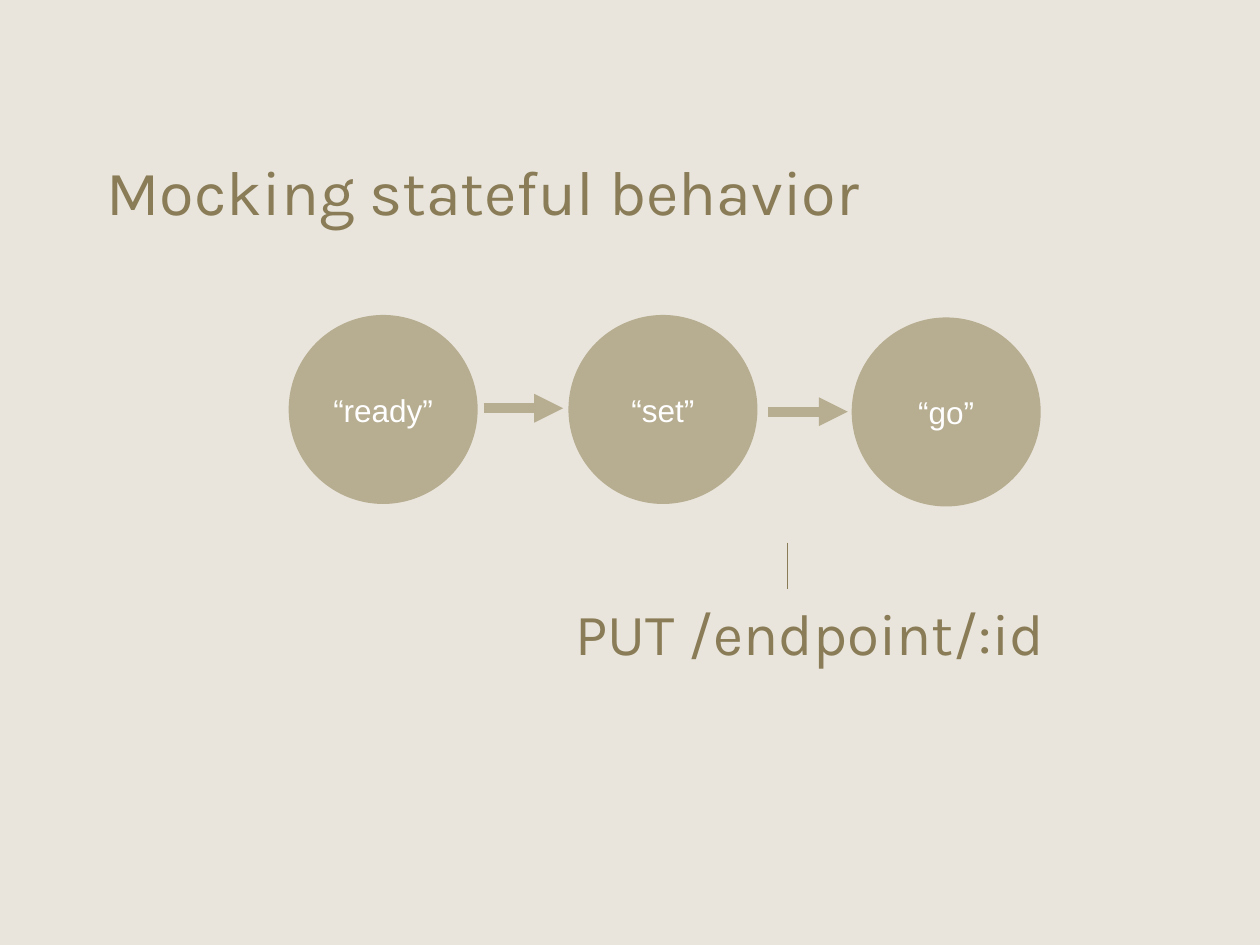
from lxml import etree
from pptx import Presentation
from pptx.dml.color import RGBColor
from pptx.enum.shapes import MSO_CONNECTOR, MSO_SHAPE
from pptx.enum.text import MSO_ANCHOR, PP_ALIGN
from pptx.oxml.ns import qn
from pptx.util import Cm, Pt

STRAIGHT = MSO_CONNECTOR.STRAIGHT
OVAL = MSO_SHAPE.OVAL
TOP, MIDDLE = MSO_ANCHOR.TOP, MSO_ANCHOR.MIDDLE
LEFT, CENTER = PP_ALIGN.LEFT, PP_ALIGN.CENTER

BACKGROUND = RGBColor(0xE9, 0xE5, 0xDC)
OLIVE = RGBColor(0x89, 0x7C, 0x57)
SAND = RGBColor(0xB7, 0xAD, 0x91)
WHITE = RGBColor(0xFF, 0xFF, 0xFF)

STATE_SIZE = 3.81
ARROW_LENGTH = 1.6

# Label, left and top of each state, in centimetres
STATES = [("“ready”", 5.82, 6.35), ("“set”", 11.46, 6.35), ("“go”", 17.17, 6.4)]
# Left end and height of each transition, in centimetres
TRANSITIONS = [(9.75, 8.23), (15.49, 8.3)]


def set_text(shape, text, font_name, size, color, align):
    shape.text_frame.text = text
    para = shape.text_frame.paragraphs[0]
    para.alignment = align
    font = para.runs[0].font
    font.name = font_name
    font.size = Pt(size)
    font.color.rgb = color
    return para


def add_heading(page, text, left, top, width, size, line_spacing):
    box = page.shapes.add_textbox(Cm(left), Cm(top), Cm(width), Cm(2.54))
    box.text_frame.word_wrap = True
    box.text_frame.vertical_anchor = TOP
    para = set_text(box, text, "Karla", size, OLIVE, LEFT)
    para.line_spacing = line_spacing


def add_state(page, label, left, top):
    circle = page.shapes.add_shape(
        OVAL, Cm(left), Cm(top), Cm(STATE_SIZE), Cm(STATE_SIZE))
    circle.shadow.inherit = False
    circle.fill.solid()
    circle.fill.fore_color.rgb = SAND
    circle.line.fill.background()
    frame = circle.text_frame
    frame.word_wrap = False
    frame.vertical_anchor = MIDDLE
    set_text(circle, label, "Arial", 18, WHITE, CENTER)


def add_line(page, start, end, color, width, arrow=False):
    line = page.shapes.add_connector(
        STRAIGHT, *(Cm(value) for value in start + end))
    line.line.color.rgb = color
    line.line.width = Pt(width)
    if arrow:
        outline = line.line._get_or_add_ln()
        etree.SubElement(outline, qn("a:tailEnd"), type="triangle")
    etree.SubElement(line._element.spPr, qn("a:effectLst"))


def main():
    deck = Presentation()
    deck.slide_width, deck.slide_height = Cm(25.4), Cm(19.05)
    page = deck.slides.add_slide(deck.slide_layouts[6])
    page.background.fill.solid()
    page.background.fill.fore_color.rgb = BACKGROUND

    # Title
    add_heading(page, "Mocking stateful behavior", 1.9, 3.18, 21.59, 36, 0.85)

    # State machine
    for label, left, top in STATES:
        add_state(page, label, left, top)
    for left, height in TRANSITIONS:
        add_line(page, (left, height), (left + ARROW_LENGTH, height),
                 SAND, 5.5, arrow=True)

    # Request that triggers the last transition
    add_line(page, (15.88, 10.94), (15.88, 11.88), OLIVE, 0.75)
    add_heading(page, "PUT /endpoint/:id", 11.35, 12.24, 10.59, 33.3, 0.75)

    deck.save("out.pptx")


if __name__ == "__main__":
    main()
